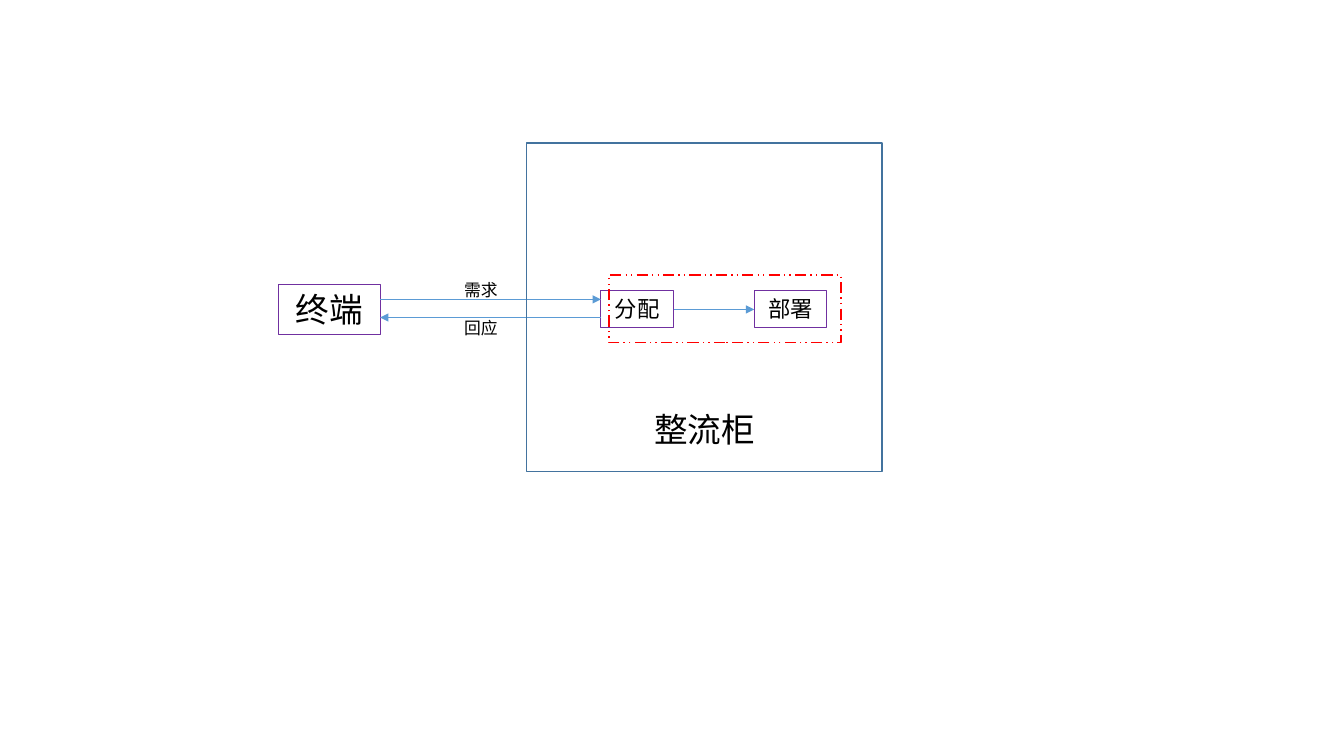
import pptx
import pptx.util
import pptx.dml.color
import pptx.enum.dml
import pptx.enum.shapes
import pptx.enum.text
import lxml.etree

Inches, Pt = pptx.util.Inches, pptx.util.Pt
RGB = pptx.dml.color.RGBColor.from_string
NS = "http://schemas.openxmlformats.org/drawingml/2006/main"
FONT = "Noto Sans CJK SC"
COLORS = {"text": "000000", "box": "7030A0", "arrow": "5B9BD5",
          "cabinet": "43739E", "group": "FF0000"}

prs = pptx.Presentation()
prs.slide_width, prs.slide_height = Inches(13.33), Inches(7.5)
s = prs.slides.add_slide(prs.slide_layouts[6])


def add_text(sp, text, size):
    tf = sp.text_frame
    frame_format = {"word_wrap": False, "margin_left": 0, "margin_right": 0,
                    "margin_top": 0, "margin_bottom": 0,
                    "vertical_anchor": pptx.enum.text.MSO_ANCHOR.MIDDLE}
    for name, value in frame_format.items():
        setattr(tf, name, value)
    p = tf.paragraphs[0]
    p.alignment = pptx.enum.text.PP_ALIGN.CENTER
    r = p.add_run()
    r.text = text
    for name, value in {"size": Pt(size), "name": FONT}.items():
        setattr(r.font, name, value)
    r.font.color.rgb = RGB(COLORS["text"])
    ea = lxml.etree.SubElement(r.font._element, f"{{{NS}}}ea")
    ea.set("typeface", FONT)


def add_box(at, color, width):
    sp = s.shapes.add_shape(pptx.enum.shapes.MSO_SHAPE.RECTANGLE, *map(Inches, at))
    sp.shadow.inherit = False
    sp.fill.background()
    sp.line.color.rgb = RGB(COLORS[color])
    sp.line.width = Pt(width)
    return sp


for text, size, at in [("终端", 24, (2.76, 2.82, 1.01, 0.5)),
                       ("分配", 16, (5.96, 2.88, 0.72, 0.37)),
                       ("部署", 16, (7.48, 2.88, 0.72, 0.37))]:
    add_text(add_box(at, "box", 0.75), text, size)

for x1, x2, y in [(3.77, 5.96, 2.97), (5.96, 3.77, 3.15), (6.68, 7.48, 3.07)]:
    arrow = s.shapes.add_connector(pptx.enum.shapes.MSO_CONNECTOR.STRAIGHT,
                                   Inches(x1), Inches(y), Inches(x2), Inches(y))
    arrow.line.color.rgb = RGB(COLORS["arrow"])
    arrow.line.width = Pt(0.5)
    tail = lxml.etree.SubElement(arrow.line._get_or_add_ln(), f"{{{NS}}}tailEnd")
    tail.set("type", "triangle")
    lxml.etree.SubElement(arrow._element.spPr, f"{{{NS}}}effectLst")

add_box((5.22, 1.42, 3.53, 3.26), "cabinet", 1)

for text, size, at in [("回应", 12, (4.49, 3.1, 0.56, 0.3)),
                       ("需求", 12, (4.49, 2.73, 0.56, 0.3)),
                       ("整流柜", 24, (6.29, 4.01, 1.4, 0.5))]:
    add_text(s.shapes.add_textbox(*map(Inches, at)), text, size)

group = add_box((6.04, 2.73, 2.3, 0.67), "group", 1)
group.line.dash_style = pptx.enum.dml.MSO_LINE.DASH_DOT_DOT

prs.save("out.pptx")
